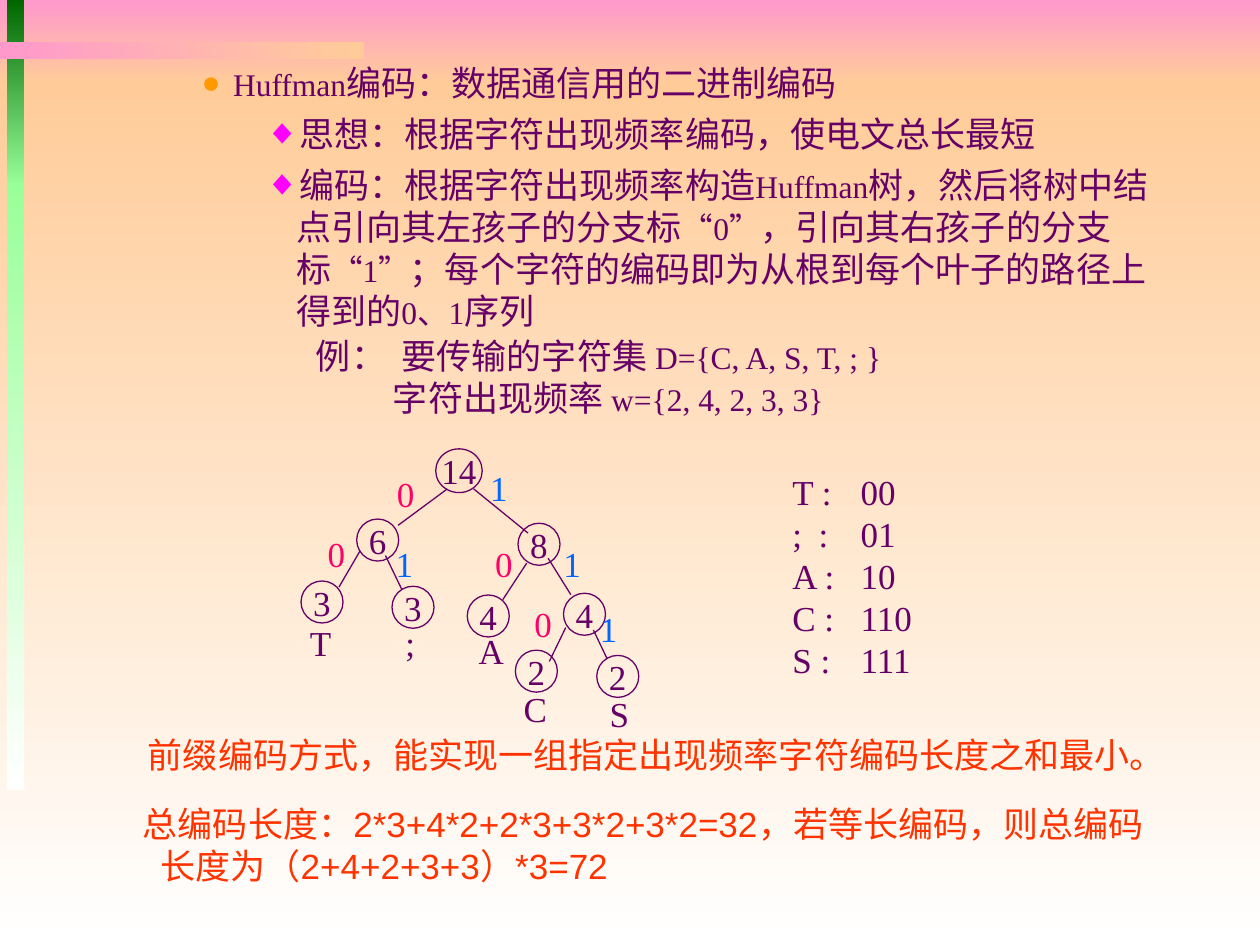
from dataclasses import dataclass

from lxml.etree import SubElement
from pptx import Presentation
from pptx.dml.color import RGBColor
from pptx.enum.shapes import MSO_CONNECTOR, MSO_SHAPE
from pptx.enum.text import MSO_ANCHOR, MSO_AUTO_SIZE, PP_ALIGN
from pptx.oxml.ns import qn
from pptx.util import Pt

PURPLE = RGBColor(0x66, 0x00, 0x66)
RED = RGBColor(0xFF, 0x33, 0x00)
ROSE = RGBColor(0xFF, 0x00, 0x66)
BLUE = RGBColor(0x00, 0x66, 0xFF)
ORANGE = RGBColor(0xFF, 0x99, 0x00)
MAGENTA = RGBColor(0xFF, 0x00, 0xFF)
PINK = RGBColor(0xFF, 0x99, 0xCC)
PEACH = RGBColor(0xFF, 0xCC, 0x99)
WHITE = RGBColor(0xFF, 0xFF, 0xFF)
DARK_GREEN = RGBColor(0x00, 0x66, 0x00)
LIGHT_GREEN = RGBColor(0x99, 0xFF, 0x99)

SERIF = "Times New Roman"
SANS = "Arial"
DOWN, ACROSS = 270, 0
LABEL_WIDTH, LABEL_HEIGHT = 30, 31.7


@dataclass
class Band:
    left: float
    top: float
    width: float
    height: float
    start: RGBColor
    end: RGBColor
    angle: int = DOWN


@dataclass
class Node:
    value: str
    left: float
    top: float
    width: float = 24
    height: float = 24


@dataclass
class Branch:
    start: tuple[float, float]
    end: tuple[float, float]


@dataclass
class Label:
    text: str
    center: float
    top: float
    color: RGBColor = PURPLE


@dataclass
class Item:
    level: int
    left: float
    bullet: str
    color: RGBColor
    spans: list[tuple[str, str]]


BANDS = [
    Band(0, 0, 720, 48, PINK, PEACH),
    Band(0, 48, 720, 492, PEACH, WHITE),
    Band(4, 0, 10, 106, DARK_GREEN, LIGHT_GREEN),
    Band(4, 105, 10, 346.5, LIGHT_GREEN, WHITE),
    Band(0, 24, 208, 10, PINK, PEACH, ACROSS),
]
ITEMS = [
    Item(3, 126, "●", ORANGE, [("Huffman", SERIF), ("编码：数据通信用的二进制编码", SANS)]),
    Item(4, 162, "◆", MAGENTA, [("思想：根据字符出现频率编码，使电文总长最短", SANS)]),
    Item(4, 162, "◆", MAGENTA, [
        ("编码：根据字符出现频率构造", SANS), ("Huffman", SERIF),
        ("树，然后将树中结点引向其左孩子的分支标", SANS), ("“0”", SERIF),
        ("，引向其右孩子的分支标", SANS), ("“1”", SERIF),
        ("；每个字符的编码即为从根到每个叶子的路径上得到的", SANS),
        ("0、1", SERIF), ("序列", SANS)]),
]
NODES = [
    Node("14", 249, 256.5, 26.6, 25), Node("6", 203.8, 296.6), Node("8", 296, 299),
    Node("3", 172, 332), Node("3", 224, 335), Node("4", 267, 340),
    Node("4", 322, 339), Node("2", 294.5, 371.5), Node("2", 341, 374.5),
]
BRANCHES = [
    Branch((255.6, 279.4), (227.5, 300.2)), Branch((270.7, 279.4), (301.7, 304.6)),
    Branch((205.9, 314.6), (193.7, 335.5)), Branch((220.3, 317.5), (229.7, 337)),
    Branch((301, 321.8), (287.3, 342.7)), Branch((313.2, 319), (326.2, 339.8)),
    Branch((323.3, 358.6), (313.9, 378)), Branch((339.1, 360), (347, 376.6)),
]
LABELS = [
    Label("T", 183.2, 351.4), Label(";", 234.4, 351.4), Label("A", 280.8, 355.7),
    Label("C", 306, 388.8), Label("S", 353.9, 391.7),
    Label("0", 231.8, 266.4, ROSE), Label("1", 285.1, 262.8, BLUE),
    Label("0", 192.2, 300.2, ROSE), Label("1", 231.1, 306, BLUE),
    Label("0", 288, 306, ROSE), Label("1", 326.9, 306, BLUE),
    Label("0", 310.3, 340.6, ROSE), Label("1", 347.8, 343.4, BLUE),
]
CODES = ["T :\t00", ";\t:\t01", "A :\t10", "C :\t110", "S :\t111"]
NOTES = [
    (60.5, 415.4, "前缀编码方式，能实现一组指定出现频率字符编码长度之和最小。"),
    (57.6, 455, "总编码长度：2*3+4*2+2*3+3*2+3*2=32，若等长编码，则总编码长度为（2+4+2+3+3）*3=72"),
]


def add_span(para, text: str, *, size: float = 20, font: str = SERIF,
             color: RGBColor = PURPLE) -> None:
    span = para.add_run()
    span.text = text
    span.font.size = Pt(size)
    span.font.name = font
    span.font.color.rgb = color


def next_para(frame, index: int):
    return frame.paragraphs[0] if index == 0 else frame.add_paragraph()


def set_indent(para, left: float, first: float = 0) -> None:
    properties = para._p.get_or_add_pPr()
    properties.set("marL", str(Pt(left)))
    properties.set("indent", str(Pt(first)))


def set_tabs(para, *stops: float) -> None:
    tabs = SubElement(para._p.get_or_add_pPr(), qn("a:tabLst"))
    for stop in stops:
        SubElement(tabs, qn("a:tab"), pos=str(Pt(stop)), algn="l")


def set_bullet(para, char: str, color: RGBColor) -> None:
    properties = para._p.get_or_add_pPr()
    tint = SubElement(properties, qn("a:buClr"))
    SubElement(tint, qn("a:srgbClr"), val=str(color))
    SubElement(properties, qn("a:buChar"), char=char)


def add_box(page, left: float, top: float, width: float, height: float, *,
            anchor=MSO_ANCHOR.MIDDLE):
    frame = page.shapes.add_textbox(Pt(left), Pt(top), Pt(width), Pt(height)).text_frame
    frame.word_wrap = True
    frame.vertical_anchor = anchor
    return frame


def draw_band(page, band: Band) -> None:
    shape = page.shapes.add_shape(MSO_SHAPE.RECTANGLE, Pt(band.left), Pt(band.top),
                                  Pt(band.width), Pt(band.height))
    shape.shadow.inherit = False
    shape.line.fill.background()
    shape.fill.gradient()
    shape.fill.gradient_angle = band.angle
    for stop, color in zip(shape.fill.gradient_stops, (band.start, band.end)):
        stop.color.rgb = color


def draw_node(page, node: Node) -> None:
    shape = page.shapes.add_shape(MSO_SHAPE.OVAL, Pt(node.left), Pt(node.top),
                                  Pt(node.width), Pt(node.height))
    shape.shadow.inherit = False
    shape.fill.background()
    shape.line.color.rgb = PURPLE
    shape.line.width = Pt(0.75)
    frame = shape.text_frame
    frame.word_wrap = False
    frame.vertical_anchor = MSO_ANCHOR.MIDDLE
    frame.paragraphs[0].alignment = PP_ALIGN.CENTER
    add_span(frame.paragraphs[0], node.value)


def draw_branch(page, branch: Branch) -> None:
    points = [Pt(value) for value in (*branch.start, *branch.end)]
    line = page.shapes.add_connector(MSO_CONNECTOR.STRAIGHT, *points)
    line.line.color.rgb = PURPLE
    line.line.width = Pt(0.75)
    SubElement(line._element.spPr, qn("a:effectLst"))


def draw_label(page, label: Label) -> None:
    frame = add_box(page, label.center - LABEL_WIDTH / 2, label.top, LABEL_WIDTH, LABEL_HEIGHT)
    frame.word_wrap = False
    frame.paragraphs[0].alignment = PP_ALIGN.CENTER
    add_span(frame.paragraphs[0], label.text, color=label.color)


def fill_list(body) -> None:
    body.left, body.top, body.width, body.height = Pt(0), Pt(31.7), Pt(669.6), Pt(154)
    frame = body.text_frame
    frame.auto_size = MSO_AUTO_SIZE.NONE
    frame.vertical_anchor = MSO_ANCHOR.TOP
    for index, item in enumerate(ITEMS):
        para = next_para(frame, index)
        para.level = item.level
        set_indent(para, item.left, -18)
        set_bullet(para, item.bullet, item.color)
        para.space_before = Pt(5 if index else 0)
        for text, font in item.spans:
            add_span(para, text, size=18 if font == SERIF else 20, font=font)


def main() -> None:
    deck = Presentation()
    deck.slide_width, deck.slide_height = Pt(720), Pt(540)
    page = deck.slides.add_slide(deck.slide_layouts[1])
    title, body = page.placeholders
    tree = title.element.getparent()
    tree.remove(title.element)
    for band in BANDS:
        draw_band(page, band)
    tree.append(body.element)  # the list lies above the bands
    fill_list(body)

    example = add_box(page, 173.5, 187.2, 360, 55.4)
    first, second = next_para(example, 0), next_para(example, 1)
    set_tabs(first, 49)
    set_indent(second, 44)
    add_span(first, "例：\t要传输的字符集 ")
    add_span(first, "D={C, A, S, T, ; }", size=18)
    add_span(second, "字符出现频率 ")
    add_span(second, "w={2, 4, 2, 3, 3}", size=18)

    for draw, parts in ((draw_node, NODES), (draw_branch, BRANCHES), (draw_label, LABELS)):
        for part in parts:
            draw(page, part)

    codes = add_box(page, 445.7, 265, 84, 127.4)
    for index, code in enumerate(CODES):
        para = next_para(codes, index)
        set_tabs(para, 15, 39)
        add_span(para, code)

    for left, top, text in NOTES:
        para = add_box(page, left, top, 617, 35.3, anchor=MSO_ANCHOR.TOP).paragraphs[0]
        set_indent(para, 27, -10)
        add_span(para, text, font=SANS, color=RED)

    deck.save("out.pptx")


if __name__ == "__main__":
    main()
